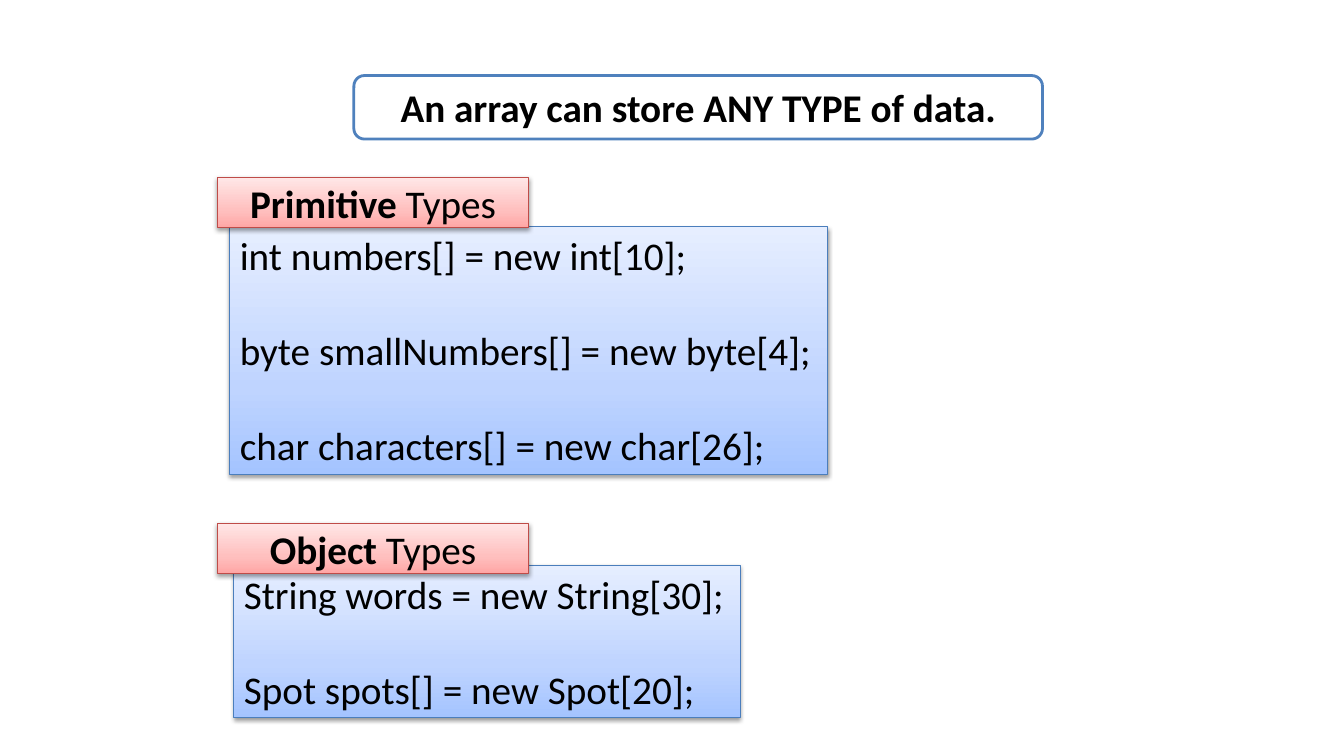
from dataclasses import dataclass

from lxml import etree
from pptx import Presentation
from pptx import util as u
from pptx.dml.color import RGBColor
from pptx.enum import shapes, text
from pptx.oxml import parse_xml
from pptx.oxml.ns import nsdecls, qn

PX = 9144  # EMU per px, 100 px to the inch


@dataclass(frozen=True)
class Theme:
    font: str = "Calibri"
    size: int = 28
    line_gap: int = 34
    ink: str = "000000"
    paper: str = "FFFFFF"
    banner_line: str = "4F81BD"
    code_line: str = "4B7EBC"
    code_stops: tuple = ((0, "A4C4FF"), (35, "BFD4FF"), (100, "E6EEFF"))
    label_line: str = "BF4C48"
    label_stops: tuple = ((0, "FFA6A5"), (35, "FFC0BF"), (100, "FFE7E7"))


THEME = Theme()


def set_all(target, values):
    for name, value in values.items():
        setattr(target, name, value)


def add_box(slide, kind, box, line_color, line_width, frame_format):
    shape = slide.shapes.add_shape(kind, *(length * PX for length in box))
    shape.shadow.inherit = False
    shape.line.color.rgb = RGBColor.from_string(line_color)
    shape.line.width = u.Pt(line_width)
    set_all(shape.text_frame, frame_format)
    return shape


def write_paragraph(paragraph, runs, paragraph_format):
    """Fill a paragraph from (words, bold) pairs."""
    set_all(paragraph, paragraph_format)
    for words, bold in runs:
        run = paragraph.add_run()
        run.text = words
        set_all(run.font, {"name": THEME.font, "size": u.Pt(THEME.size), "bold": bold})
        run.font.color.rgb = RGBColor.from_string(THEME.ink)


def shade(shape, stops):
    """Give a shape an upward gradient and a soft shadow below."""
    shape.fill.gradient()
    shape.fill.gradient_angle = 90
    properties = shape.element.spPr
    stop_list = properties.find(qn("a:gradFill")).find(qn("a:gsLst"))
    for stop in list(stop_list):
        stop_list.remove(stop)
    for position, color in stops:
        stop = etree.SubElement(stop_list, qn("a:gs"), pos=str(position * 1000))
        etree.SubElement(stop, qn("a:srgbClr"), val=color)
    properties.find(qn("a:effectLst")).append(parse_xml(
        f'<a:outerShdw {nsdecls("a")} blurRad="40000" dist="20000" dir="5400000" rotWithShape="0">'
        f'<a:srgbClr val="{THEME.ink}"><a:alpha val="38000"/></a:srgbClr></a:outerShdw>'))


def add_banner(slide, box, words):
    shape = add_box(slide, shapes.MSO_SHAPE.ROUNDED_RECTANGLE, box, THEME.banner_line, 2, {
        "word_wrap": True,
        "vertical_anchor": text.MSO_ANCHOR.TOP,
        "auto_size": text.MSO_AUTO_SIZE.SHAPE_TO_FIT_TEXT,
    })
    shape.fill.solid()
    shape.fill.fore_color.rgb = RGBColor.from_string(THEME.paper)
    write_paragraph(shape.text_frame.paragraphs[0], [(words, True)],
                    {"alignment": text.PP_ALIGN.CENTER})


def add_code(slide, box, lines):
    shape = add_box(slide, shapes.MSO_SHAPE.RECTANGLE, box, THEME.code_line, 0.75, {
        "word_wrap": False,
        "vertical_anchor": text.MSO_ANCHOR.TOP,
        "auto_size": text.MSO_AUTO_SIZE.SHAPE_TO_FIT_TEXT,
    })
    shade(shape, THEME.code_stops)
    frame = shape.text_frame
    for index, line in enumerate(lines):
        paragraph = frame.add_paragraph() if index else frame.paragraphs[0]
        write_paragraph(paragraph, [(line, False)], {
            "alignment": text.PP_ALIGN.LEFT,
            "space_before": u.Pt(THEME.line_gap if index else 0),
        })


def add_label(slide, top, kind):
    shape = add_box(slide, shapes.MSO_SHAPE.RECTANGLE, (216, top, 308, 50),
                    THEME.label_line, 0.75,
                    {"word_wrap": True, "vertical_anchor": text.MSO_ANCHOR.MIDDLE})
    shade(shape, THEME.label_stops)
    write_paragraph(shape.text_frame.paragraphs[0], [(kind, True), (" Types", False)],
                    {"alignment": text.PP_ALIGN.CENTER})


def main():
    presentation = Presentation()
    set_all(presentation, {"slide_width": 1333 * PX, "slide_height": 750 * PX})
    slide = presentation.slides.add_slide(presentation.slide_layouts[6])

    add_banner(slide, (351, 75, 683, 63), "An array can store ANY TYPE of data.")
    add_code(slide, (232, 561, 502, 151), [
        "String words = new String[30];",
        "Spot spots[] = new Spot[20];",
    ])
    add_code(slide, (228, 225, 593, 246), [
        "int numbers[] = new int[10];",
        "byte smallNumbers[] = new byte[4];",
        "char characters[] = new char[26];",
    ])
    add_label(slide, 176, "Primitive")
    add_label(slide, 519, "Object")

    presentation.save("out.pptx")


if __name__ == "__main__":
    main()
